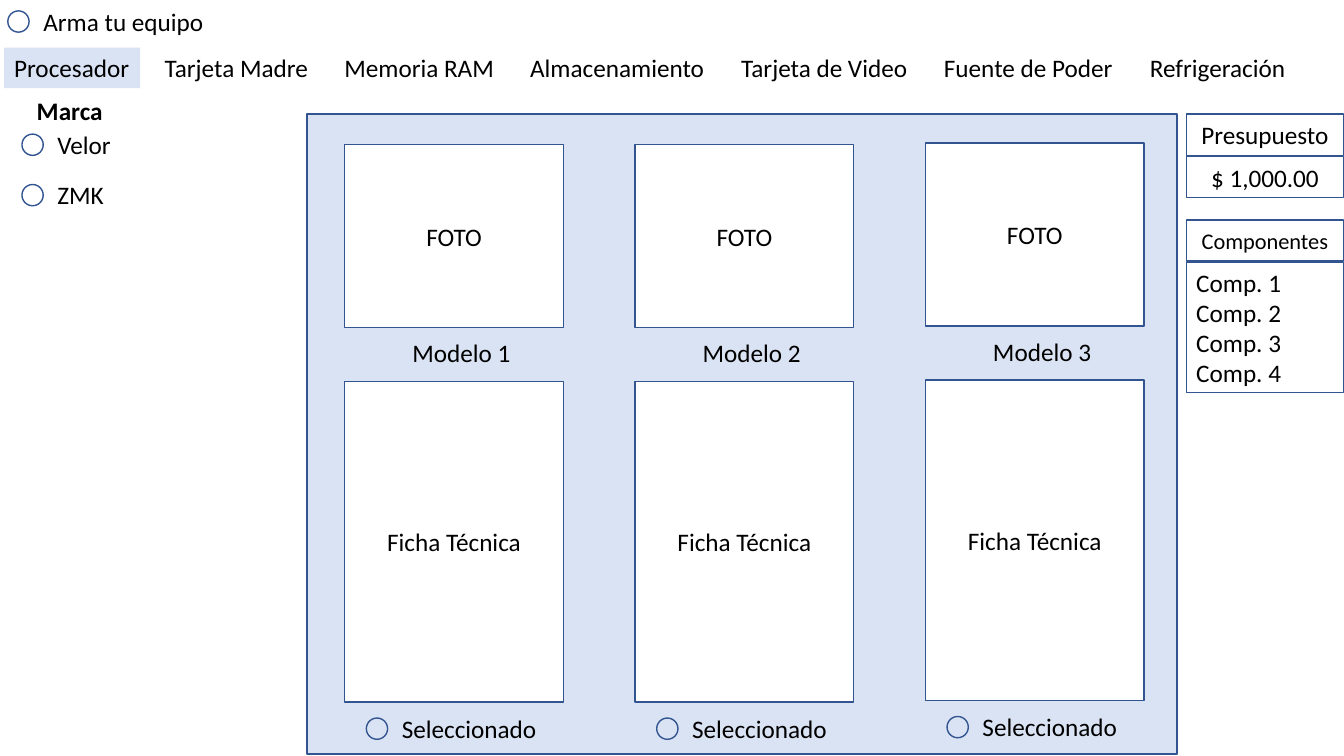
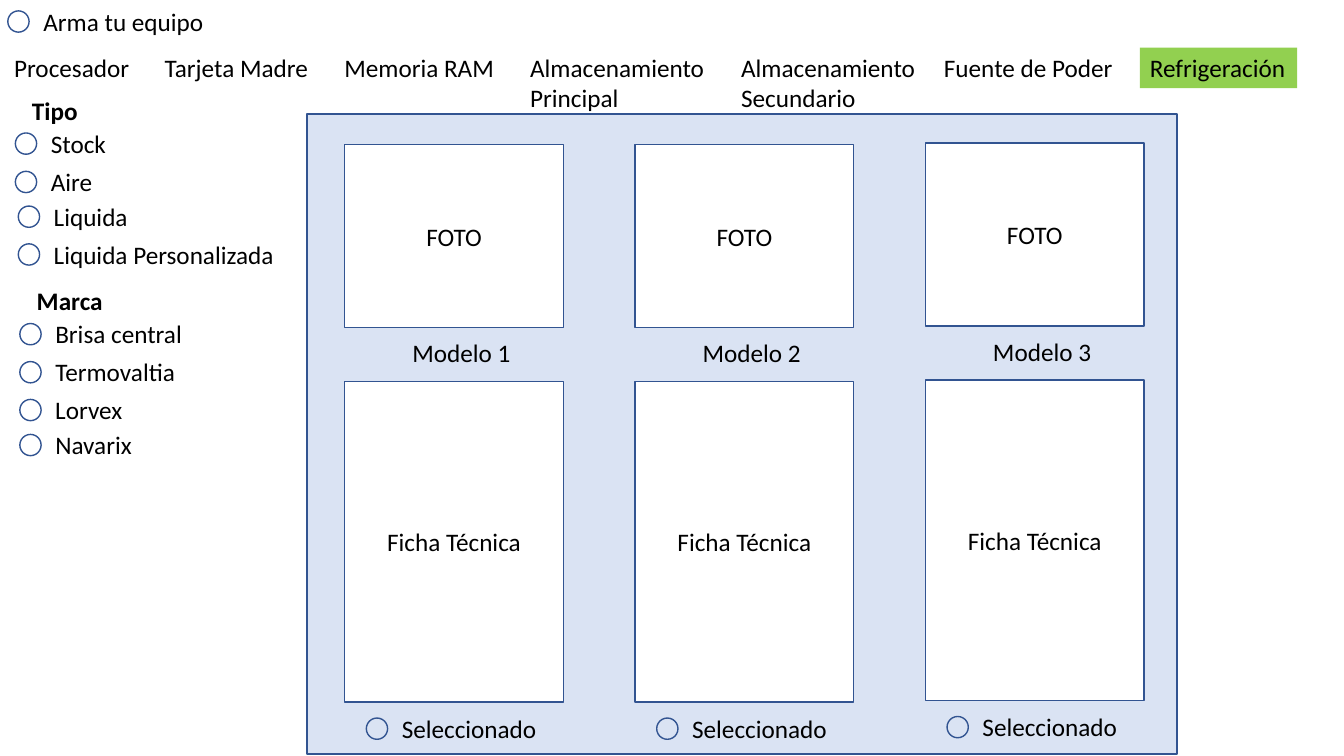
from dataclasses import dataclass

from pptx import Presentation
from pptx.dml.color import RGBColor
from pptx.enum.shapes import MSO_SHAPE
from pptx.enum.text import MSO_ANCHOR, MSO_AUTO_SIZE, PP_ALIGN
from pptx.util import Pt

RECT, CIRCLE = MSO_SHAPE.RECTANGLE, MSO_SHAPE.OVAL
LEFT, CENTER = PP_ALIGN.LEFT, PP_ALIGN.CENTER
TOP, MIDDLE = MSO_ANCHOR.TOP, MSO_ANCHOR.MIDDLE
NO_AUTOFIT = MSO_AUTO_SIZE.NONE
TITLE_ONLY = 5


@dataclass(frozen=True)
class Theme:
    font: str = "Calibri"
    body: float = 18
    small: float = 16
    text: RGBColor = RGBColor(0, 0, 0)
    outline: RGBColor = RGBColor(0x32, 0x54, 0x91)
    panel: RGBColor = RGBColor(0xDA, 0xE3, 0xF3)
    active_green: RGBColor = RGBColor(0x92, 0xD0, 0x50)
    white: RGBColor = RGBColor(255, 255, 255)


THEME = Theme()

# Shared measures, in points
LINE_H = 29
TWO_LINES_H = 51
DOT = 15.2
DOT_TO_LABEL = (18.2, -7)
TAB_LEFT, TAB_TOP, TAB_GAP = 3, 34, 10.3
TAB_WIDTHS = (97.2, 118.1, 122.4, 140.4, 134.6, 136.8, 112.3)
PANEL_TOP = 81.4
CARD_LEFT, CARD_STEP, CARD_W = 246.2, 207.4, 156.3
CARD_SHIFTS = (0, 0, -1.1)
SIDE_LEFT, SIDE_W, SIDE_ROW_H, SIDE_STEP = 847.4, 112.3, 29.5, 30.3


def box_of(left, top, width, height):
    return Pt(left), Pt(top), Pt(width), Pt(height)


def write(frame, text, align=LEFT, anchor=TOP, size=THEME.body, bold=False):
    """Fill a text frame, one paragraph per line of text."""
    frame.text = text
    frame.word_wrap = True
    frame.auto_size = NO_AUTOFIT
    frame.vertical_anchor = anchor
    if align == LEFT:
        frame.margin_right = 0
    for paragraph in frame.paragraphs:
        paragraph.alignment = align
        for run in paragraph.runs:
            font = run.font
            font.name, font.size, font.bold = THEME.font, Pt(size), bold
            font.color.rgb = THEME.text


def add_label(shapes, text, left, top, width, height=LINE_H, bold=False):
    label = shapes.add_textbox(*box_of(left, top, width, height))
    write(label.text_frame, text, bold=bold)


def add_box(shapes, kind, box, fill=None, outlined=True):
    shape = shapes.add_shape(kind, *box_of(*box))
    shape.shadow.inherit = False
    if fill is None:
        shape.fill.background()
    else:
        shape.fill.solid()
        shape.fill.fore_color.rgb = fill
    if outlined:
        shape.line.color.rgb = THEME.outline
        shape.line.width = Pt(1)
    else:
        shape.line.fill.background()
    return shape


def add_dot(shapes, left, top):
    add_box(shapes, CIRCLE, (left, top, DOT, DOT))


def add_option(shapes, text, left, top, width):
    """Radio button: a ring with its label."""
    option = shapes.add_group_shape().shapes
    add_dot(option, left, top)
    dx, dy = DOT_TO_LABEL
    add_label(option, text, left + dx, top + dy, width)


def add_header(slide):
    add_dot(slide.shapes, 5.6, 7.8)
    title = slide.shapes.title
    title.left, title.top, title.width, title.height = box_of(23.8, 0.8, 130.3, LINE_H)
    write(title.text_frame, "Arma tu equipo")


def add_tabs(shapes, names, active, active_fill):
    left = TAB_LEFT
    for name, width in zip(names, TAB_WIDTHS):
        height = TWO_LINES_H if "\n" in name else LINE_H
        if name == active:
            tab = add_box(shapes, RECT, (left, TAB_TOP, width, height),
                          active_fill, outlined=False)
            write(tab.text_frame, name)
        else:
            add_label(shapes, name, left, TAB_TOP, width, height)
        left += width + TAB_GAP


def add_card(shapes, number, left, shift):
    """Model card: photo, name, data sheet and selector."""
    card = shapes.add_group_shape().shapes
    for text, top, height in (("Ficha Técnica", 272.4, 229), ("FOTO", 103.4, 130.5)):
        area = add_box(card, RECT, (left, top + shift, CARD_W, height), THEME.white)
        write(area.text_frame, text, CENTER, MIDDLE)
    add_label(card, f"Modelo {number}", left + 41.2, 237.6 + shift, 85.7)
    add_option(card, "Seleccionado", left + 15.5, 512.9 + shift, 111.6)


def add_catalogue(shapes):
    add_box(shapes, RECT, (219.4, PANEL_TOP, 621.4, 457.2), THEME.panel)
    for index, shift in enumerate(CARD_SHIFTS):
        add_card(shapes, index + 1, CARD_LEFT + index * CARD_STEP, shift)


def add_filter(shapes, heading, left, top, width, options):
    add_label(shapes, heading, left, top, width, bold=True)
    for option in options:
        add_option(shapes, *option)


def add_summary(shapes, top, heading, content, content_h, heading_size, align):
    """Sidebar block: a heading cell above a content cell."""
    head = add_box(shapes, RECT, (SIDE_LEFT, top, SIDE_W, SIDE_ROW_H))
    write(head.text_frame, heading, CENTER, MIDDLE, heading_size)
    body = add_box(shapes, RECT, (SIDE_LEFT, top + SIDE_STEP, SIDE_W, content_h))
    write(body.text_frame, content, align, MIDDLE)


def add_page(deck, tabs, active, active_fill):
    slide = deck.slides.add_slide(deck.slide_layouts[TITLE_ONLY])
    add_header(slide)
    add_tabs(slide.shapes, tabs, active, active_fill)
    add_catalogue(slide.shapes)
    return slide.shapes


def main():
    deck = Presentation()
    deck.slide_width, deck.slide_height = Pt(960), Pt(540)
    tabs = ["Procesador", "Tarjeta Madre", "Memoria RAM", "Almacenamiento",
            "Tarjeta de Video", "Fuente de Poder", "Refrigeración"]

    # Processor page
    processor = add_page(deck, tabs, "Procesador", THEME.panel)
    add_filter(processor, "Marca", 19.2, 64.2, 61.9, [
        ("Velor", 15.7, 95.8, 47.5),
        ("ZMK", 15.7, 131.8, 51.8),
    ])
    add_summary(processor, PANEL_TOP, "Presupuesto", "$ 1,000.00",
                SIDE_ROW_H, THEME.body, CENTER)
    components = "\n".join(f"Comp. {number}" for number in range(1, 5))
    add_summary(processor, 157, "Componentes", components, 92.9, THEME.small, LEFT)

    # Cooling page
    tabs[3:5] = ["Almacenamiento\nPrincipal", "Almacenamiento\nSecundario"]
    cooling = add_page(deck, tabs, "Refrigeración", THEME.active_green)
    add_filter(cooling, "Tipo", 15.8, 64.2, 47.5, [
        ("Stock", 11, 95, 54),
        ("Aire", 11, 122.4, 44.6),
        ("Liquida", 13.1, 147.2, 68.4),
        ("Liquida Personalizada", 13.1, 174.2, 173.5),
    ])
    add_filter(cooling, "Marca", 19.2, 200.2, 61.9, [
        ("Brisa central", 14.2, 231.1, 118.8),
        ("Termovaltia", 14.2, 258.3, 107.3),
        ("Lorvex", 14.2, 285.3, 67),
        ("Navarix", 14.2, 310.3, 66.2),
    ])

    deck.save("out.pptx")


main()
